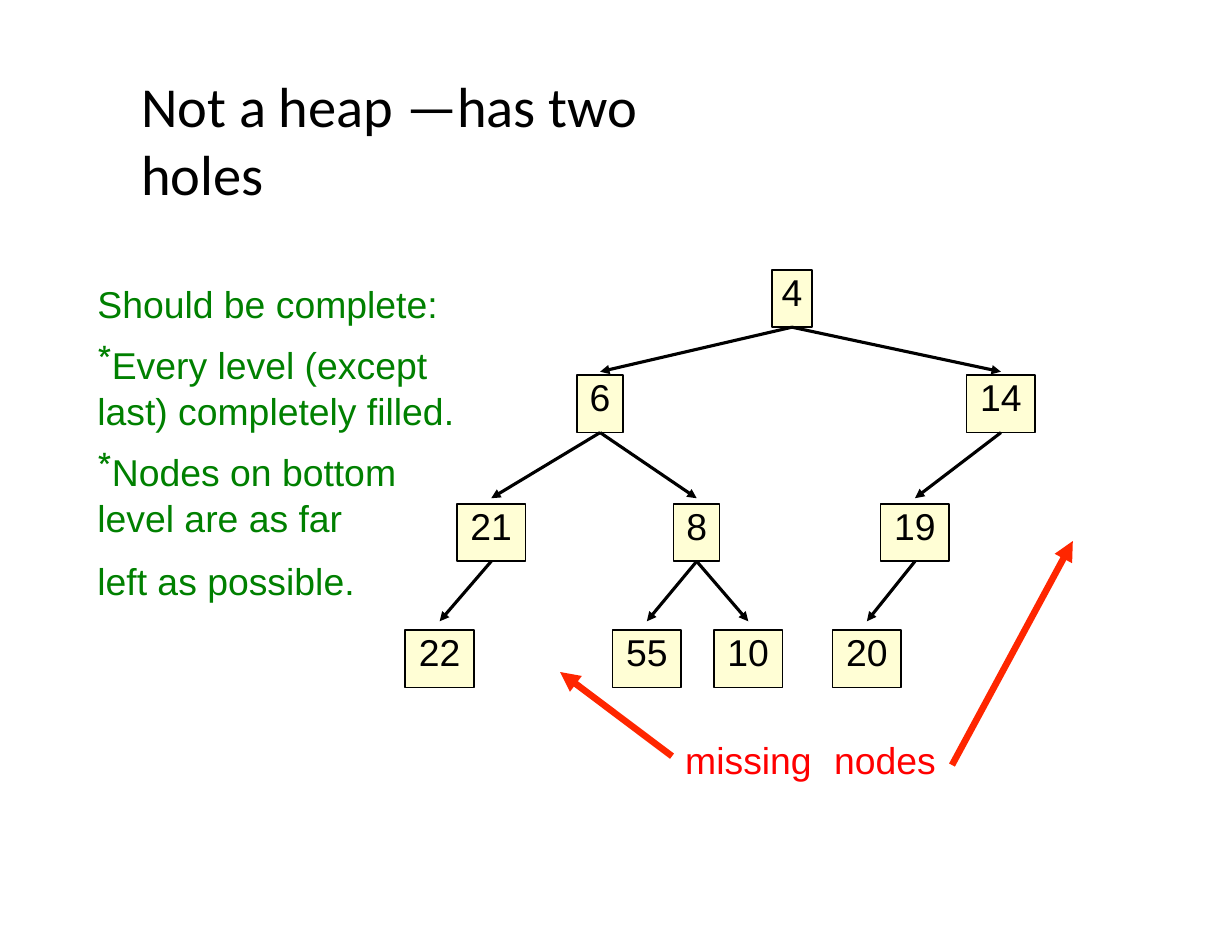
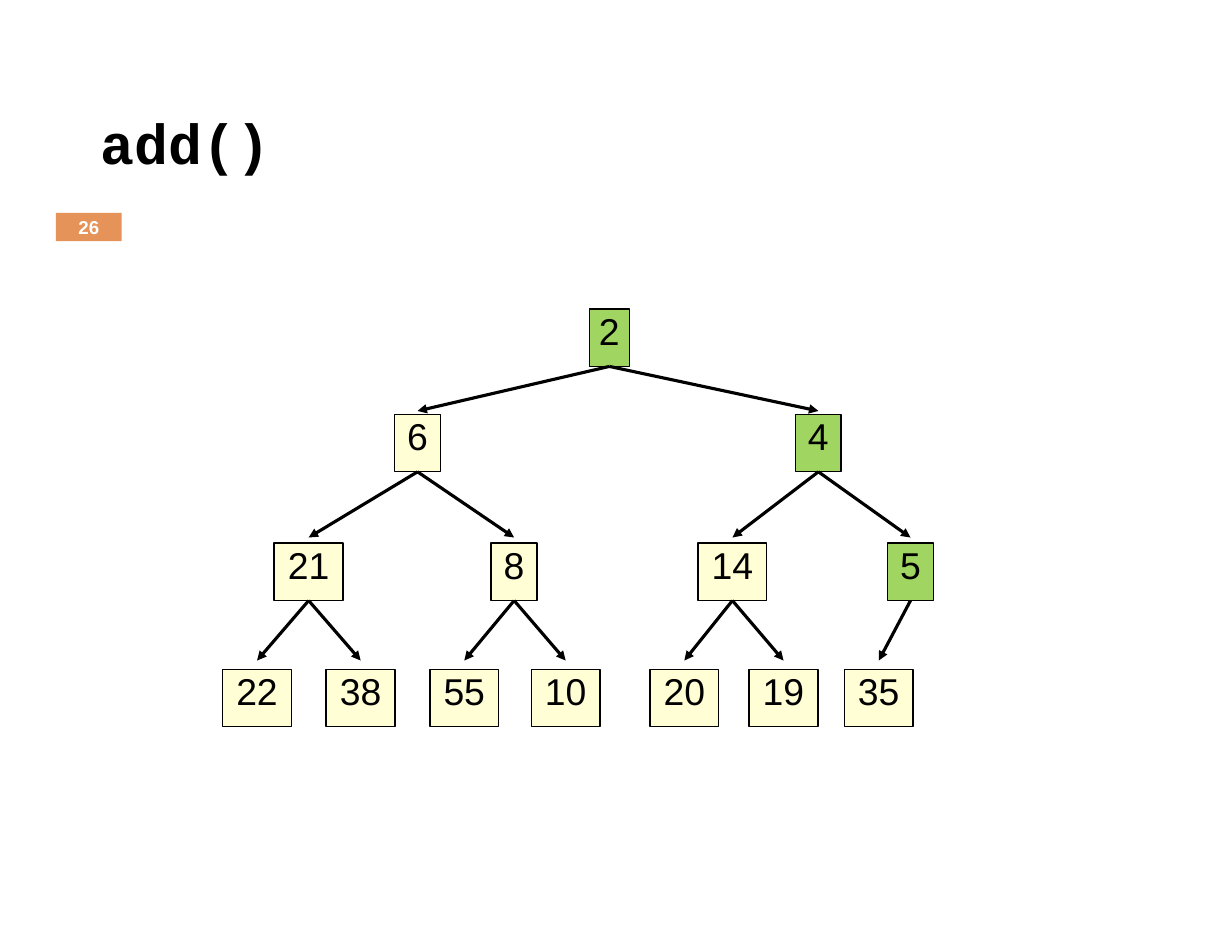
from dataclasses import dataclass

from lxml import etree
from pptx import Presentation
from pptx.dml.color import RGBColor
from pptx.enum.shapes import MSO_CONNECTOR, MSO_SHAPE
from pptx.enum.text import MSO_ANCHOR, PP_ALIGN
from pptx.oxml.ns import qn
from pptx.util import Cm, Pt

RECTANGLE = MSO_SHAPE.RECTANGLE
STRAIGHT = MSO_CONNECTOR.STRAIGHT
TOP, MIDDLE = MSO_ANCHOR.TOP, MSO_ANCHOR.MIDDLE
LEFT, CENTER = PP_ALIGN.LEFT, PP_ALIGN.CENTER

# Shared colours and sizes
BLACK, WHITE, CREAM, LIME = "000000", "FFFFFF", "FFFED5", "A1D562"
GREEN, RED, ARROW_RED, ORANGE = "008000", "FF0000", "FF2600", "E59358"
TITLE_SIZE, BODY_SIZE = 36.3, 24

# Heap geometry in centimetres: one slot per heap index, one entry per level
SLOT_CENTERS = (17.96, 13.61, 22.7, 11.14, 15.8, 20.75, 24.79,
                9.97, 12.32, 14.67, 16.97, 19.66, 21.91, 24.07)
LEVEL_TOPS = (6.12, 8.51, 11.43, 14.29)
ARROW_GAPS = (0, 0.08, 0.13, 0.2)
NODE_HEIGHT = 1.3
ROOT_WIDTH, ONE_DIGIT_WIDTH, TWO_DIGIT_WIDTH = 0.91, 1.04, 1.56


@dataclass
class Box:
    left: float
    top: float
    width: float
    height: float

    def lengths(self) -> tuple:
        return Cm(self.left), Cm(self.top), Cm(self.width), Cm(self.height)


@dataclass
class Heap:
    values: tuple
    shift_x: float = 0
    shift_y: float = 0
    changed: tuple = ()

    def node_box(self, index: int) -> Box:
        level = level_of(index)
        if index == 0:
            width = ROOT_WIDTH
        else:
            width = ONE_DIGIT_WIDTH if self.values[index] < 10 else TWO_DIGIT_WIDTH
        return Box(SLOT_CENTERS[index] + self.shift_x - width / 2,
                   LEVEL_TOPS[level] + self.shift_y, width, NODE_HEIGHT)


def level_of(index: int) -> int:
    return (index + 1).bit_length() - 1


def color(value: str) -> RGBColor:
    return RGBColor.from_string(value)


def write(frame, text: str, *, font="Arial", size=BODY_SIZE, fill=BLACK, bold=False,
          align=LEFT, spacing=None, before=0, bullet="", tab=0) -> None:
    """Add one formatted paragraph, using the first one while it is empty."""
    paragraph = frame.paragraphs[0] if not frame.text else frame.add_paragraph()
    paragraph.alignment = align
    paragraph.space_before = Pt(before)
    if spacing:
        paragraph.line_spacing = spacing
    run = paragraph.add_run()
    run.text = text
    run.font.name = font
    run.font.size = Pt(size)
    run.font.bold = bold
    run.font.color.rgb = color(fill)
    properties = paragraph._p.get_or_add_pPr()
    if bullet:
        etree.SubElement(properties, qn("a:buChar"), char=bullet)
    if tab:
        tabs = etree.SubElement(properties, qn("a:tabLst"))
        etree.SubElement(tabs, qn("a:tab"), pos=str(Cm(tab)), algn="l")


def prepare_frame(shape, anchor):
    frame = shape.text_frame
    frame.word_wrap = True
    frame.vertical_anchor = anchor
    frame.margin_left = frame.margin_right = frame.margin_top = frame.margin_bottom = 0
    return frame


def add_text_box(slide, box: Box, anchor=TOP):
    return prepare_frame(slide.shapes.add_textbox(*box.lengths()), anchor)


def add_title(slide, box: Box, text: str, font: str, bold: bool = False) -> None:
    write(add_text_box(slide, box, MIDDLE), text, font=font, size=TITLE_SIZE, bold=bold)


def add_rectangle(slide, box: Box, fill: str, outlined: bool, anchor=TOP):
    shape = slide.shapes.add_shape(RECTANGLE, *box.lengths())
    shape.shadow.inherit = False
    shape.fill.solid()
    shape.fill.fore_color.rgb = color(fill)
    if outlined:
        shape.line.color.rgb = color(BLACK)
        shape.line.width = Pt(1)
    else:
        shape.line.fill.background()
    return prepare_frame(shape, anchor)


def add_arrow(slide, start: tuple, end: tuple, fill: str = BLACK, width: float = 2) -> None:
    points = [Cm(value) for value in (*start, *end)]
    connector = slide.shapes.add_connector(STRAIGHT, *points)
    connector.line.color.rgb = color(fill)
    connector.line.width = Pt(width)
    etree.SubElement(connector.line._get_or_add_ln(), qn("a:tailEnd"), type="triangle")
    etree.SubElement(connector._element.spPr, qn("a:effectLst"))


def draw_heap(slide, heap: Heap) -> None:
    filled = [index for index, value in enumerate(heap.values) if value is not None]
    # Nodes
    for index in filled:
        fill = LIME if index in heap.changed else CREAM
        frame = add_rectangle(slide, heap.node_box(index), fill, True)
        write(frame, str(heap.values[index]), align=CENTER, spacing=Pt(28.3))
    # Arrows from each parent to its child
    for index in filled[1:]:
        parent = (index - 1) // 2
        level = level_of(index)
        start = (SLOT_CENTERS[parent] + heap.shift_x,
                 LEVEL_TOPS[level - 1] + NODE_HEIGHT + heap.shift_y)
        end = (SLOT_CENTERS[index] + heap.shift_x,
               LEVEL_TOPS[level] - ARROW_GAPS[level] + heap.shift_y)
        add_arrow(slide, start, end)


def build_holes_slide(slide) -> None:
    draw_heap(slide, Heap((4, 6, 14, 21, 8, 19, None, 22, None, 55, 10, 20)))

    # Rules for a complete tree
    rules = add_text_box(slide, Box(2.21, 6.38, 8.2, 7.34))
    write(rules, "Should be complete:", fill=GREEN)
    for rule in ("Every level (except last) completely filled.",
                 "Nodes on bottom level are as far"):
        write(rules, rule, fill=GREEN, bullet="*", spacing=1.02, before=10)
    write(rules, "left as possible.", fill=GREEN, before=11.7)

    # Pointers to the holes
    label = add_text_box(slide, Box(15.54, 16.71, 5.8, 1.04))
    write(label, "missing\tnodes", fill=RED, tab=3.38)
    add_title(slide, Box(3.2, 1.63, 12.65, 3.05), "Not a heap —has two holes", "Calibri")
    for start, end in (((15.24, 17.15), (12.7, 15.24)),
                       ((21.59, 17.35), (24.33, 12.27))):
        add_arrow(slide, start, end, ARROW_RED, 4.25)


def build_add_slide(slide) -> None:
    values = (2, 6, 4, 21, 8, 14, 5, 22, 38, 55, 10, 20, 19, 35)
    draw_heap(slide, Heap(values, shift_x=-4.14, shift_y=0.89, changed=(0, 2, 6)))

    # Slide number and title
    badge = add_rectangle(slide, Box(1.27, 4.83, 1.49, 0.64), ORANGE, False, MIDDLE)
    write(badge, "26", size=12, fill=WHITE, bold=True, align=CENTER)
    add_title(slide, Box(2.29, 1.14, 23.7, 4.17), "add()", "Courier New", bold=True)


def main() -> None:
    presentation = Presentation()
    presentation.slide_width = Cm(27.94)
    presentation.slide_height = Cm(21.59)
    blank = presentation.slide_layouts[6]
    for build in (build_holes_slide, build_add_slide):
        build(presentation.slides.add_slide(blank))
    presentation.save("out.pptx")


if __name__ == "__main__":
    main()
